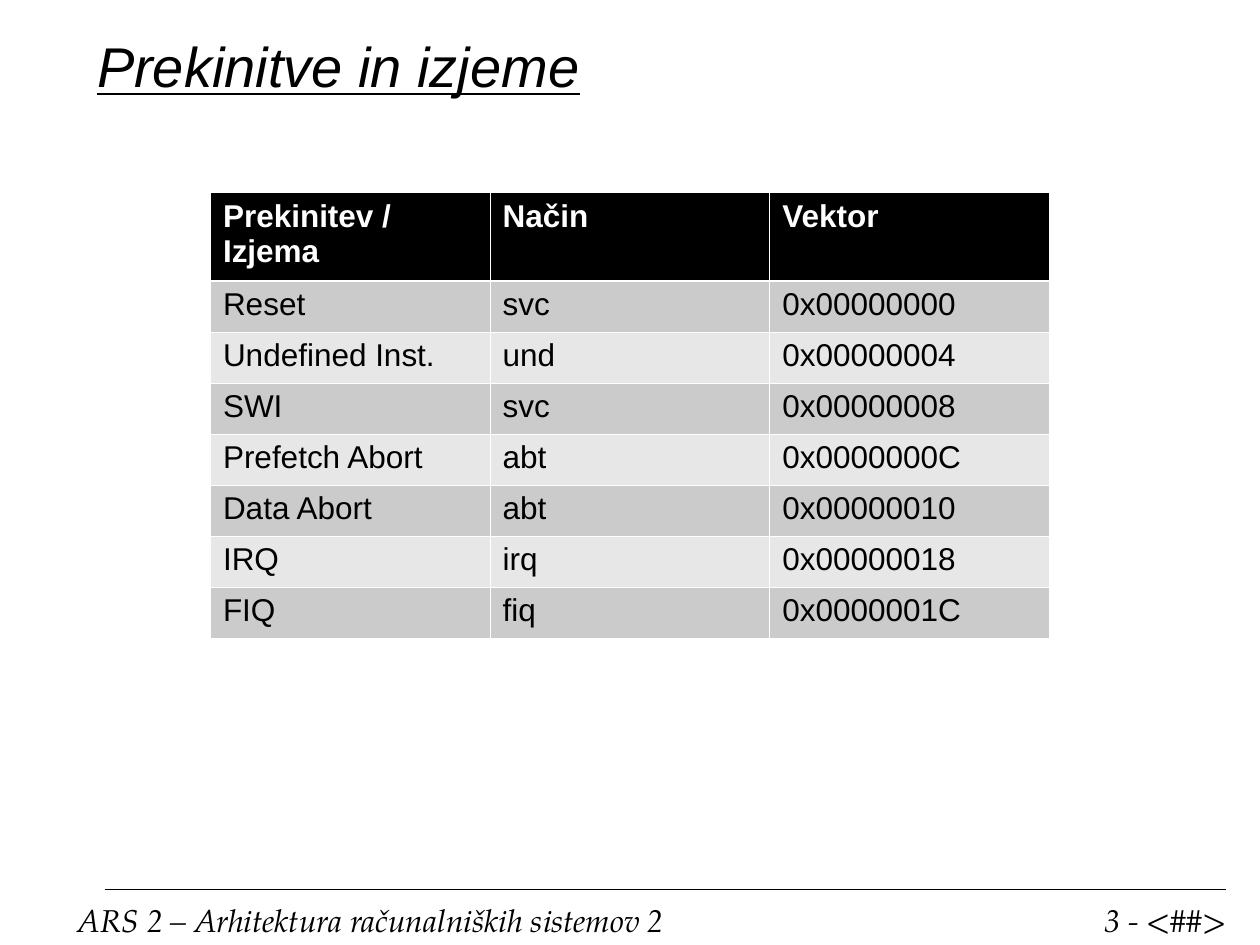
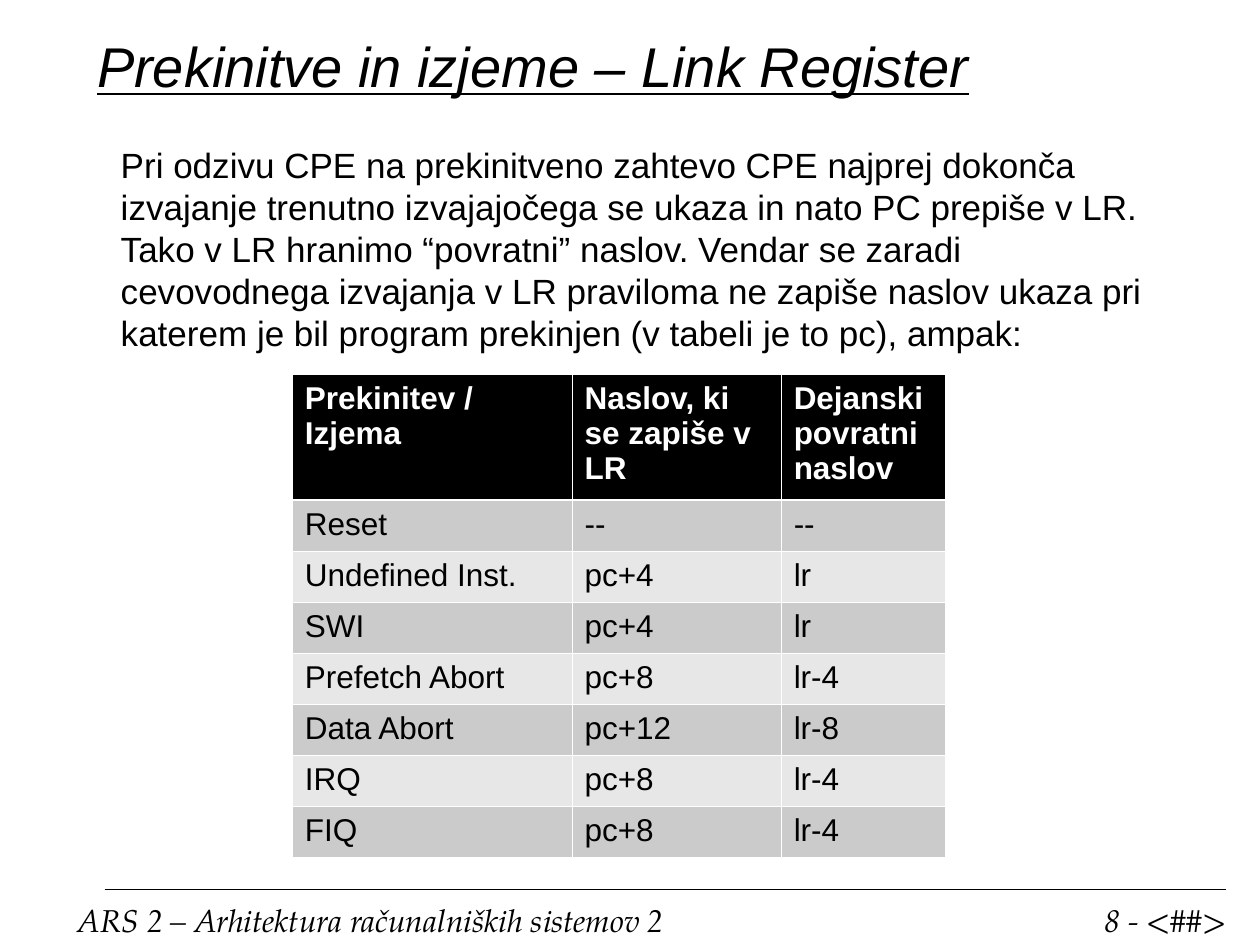
from dataclasses import dataclass

from lxml.etree import SubElement
from pptx import Presentation
from pptx.dml.color import RGBColor
from pptx.enum.shapes import MSO_CONNECTOR
from pptx.enum.text import MSO_ANCHOR, MSO_AUTO_SIZE, PP_ALIGN
from pptx.oxml.ns import qn
from pptx.util import Inches, Pt


@dataclass(frozen=True)
class Theme:
    """Colours, fonts and type sizes shared by the slides."""
    ink: str = "000000"
    paper: str = "FFFFFF"
    dark_band: str = "CBCBCB"
    light_band: str = "E7E7E7"
    text_font: str = "Arial"
    footer_font: str = "TeX Gyre Pagella"
    title_size: float = 32
    body_size: float = 20
    small_size: float = 18
    thin_border: float = 0.45
    header_border: float = 1.47


THEME = Theme()
TITLE_ONLY_LAYOUT = 5
ROW_HEIGHT = 0.405
COURSE = "ARS 2 – Arhitektura računalniških sistemov 2"
EXCEPTIONS = ["Reset", "Undefined Inst.", "SWI", "Prefetch Abort", "Data Abort", "IRQ", "FIQ"]
MODES = ["svc", "und", "svc", "abt", "abt", "irq", "fiq"]
VECTORS = ["0x00000000", "0x00000004", "0x00000008", "0x0000000C",
           "0x00000010", "0x00000018", "0x0000001C"]
SAVED_ADDRESSES = ["--", "pc+4", "pc+4", "pc+8", "pc+12", "pc+8", "pc+8"]
RETURN_ADDRESSES = ["--", "lr", "lr", "lr-4", "lr-8", "lr-4", "lr-4"]
LINK_REGISTER_TEXT = (
    "Pri odzivu CPE na prekinitveno zahtevo CPE najprej dokonča izvajanje trenutno "
    "izvajajočega se ukaza in nato PC prepiše v LR. Tako v LR hranimo “povratni” naslov. "
    "Vendar se zaradi cevovodnega izvajanja v LR praviloma ne zapiše naslov ukaza pri "
    "katerem je bil program prekinjen (v tabeli je to pc), ampak:"
)


def write_text(text_frame, text, *, size, font=THEME.text_font, color=THEME.ink,
               bold=False, italic=False, underline=False):
    """Write one left-aligned paragraph with the given format."""
    text_frame.word_wrap = True
    paragraph = text_frame.paragraphs[0]
    paragraph.alignment = PP_ALIGN.LEFT
    run = paragraph.add_run()
    run.text = text
    run.font.name = font
    run.font.size = Pt(size)
    run.font.color.rgb = RGBColor.from_string(color)
    run.font.bold = bold
    run.font.italic = italic
    run.font.underline = underline


def add_text(slide, text, left, top, width, height, **text_format):
    """Add a text box with formatted text."""
    box = slide.shapes.add_textbox(Inches(left), Inches(top), Inches(width), Inches(height))
    write_text(box.text_frame, text, **text_format)


def set_title(slide, text):
    """Place and format the title placeholder."""
    title = slide.shapes.title
    title.left, title.top = Inches(0.67), Inches(0.21)
    title.width, title.height = Inches(8.9), Inches(0.62)
    title.text_frame.auto_size = MSO_AUTO_SIZE.NONE
    title.text_frame.vertical_anchor = MSO_ANCHOR.MIDDLE
    write_text(title.text_frame, text, size=THEME.title_size, italic=True, underline=True)


def add_footer(slide, page):
    """Add the footer rule, the course name and the page label."""
    rule = slide.shapes.add_connector(
        MSO_CONNECTOR.STRAIGHT, Inches(0.83), Inches(7.06), Inches(9.73), Inches(7.06))
    rule.line.color.rgb = RGBColor.from_string(THEME.ink)
    rule.line.width = Pt(1)
    SubElement(rule._element.spPr, qn("a:effectLst"))
    for text, left, width in [(COURSE, 0.52, 5.49), (f"{page} - <##>", 8.67, 1.33)]:
        add_text(slide, text, left, 7.1, width, 0.4, size=THEME.small_size,
                 font=THEME.footer_font, italic=True)


def set_borders(cell, **widths):
    """Draw the cell's borders, thin unless a side's width is given."""
    properties = cell._tc.get_or_add_tcPr()
    for side in "LRTB":
        width = Pt(widths.get(side, THEME.thin_border))
        line = SubElement(properties, qn(f"a:ln{side}"), w=str(int(width)))
        fill = SubElement(line, qn("a:solidFill"))
        SubElement(fill, qn("a:srgbClr"), val=THEME.paper)


def format_cell(cell, text, row):
    """Fill, border and write a cell according to its row."""
    is_header = row == 0
    edges = {0: {"B": THEME.header_border}, 1: {"T": THEME.header_border}}
    band = THEME.dark_band if row % 2 else THEME.light_band
    set_borders(cell, **edges.get(row, {}))
    cell.fill.solid()
    cell.fill.fore_color.rgb = RGBColor.from_string(THEME.ink if is_header else band)
    write_text(cell.text_frame, text, size=THEME.small_size, bold=is_header,
               color=THEME.paper if is_header else THEME.ink)


def add_exception_table(slide, left, top, header_height, widths, headers, columns):
    """Add a banded table with a header row above the given columns."""
    rows = [headers, *zip(*columns)]
    heights = [header_height] + [ROW_HEIGHT] * (len(rows) - 1)
    table = slide.shapes.add_table(
        len(rows), len(widths), Inches(left), Inches(top),
        Inches(sum(widths)), Inches(sum(heights))).table
    for column, width in zip(table.columns, widths):
        column.width = Inches(width)
    for index, (values, height) in enumerate(zip(rows, heights)):
        table.rows[index].height = Inches(height)
        for cell, value in zip(table.rows[index].cells, values):
            format_cell(cell, value, index)


def add_slide(presentation, title, page):
    """Add a slide with its title and footer."""
    slide = presentation.slides.add_slide(presentation.slide_layouts[TITLE_ONLY_LAYOUT])
    add_footer(slide, page)
    set_title(slide, title)
    return slide


def main():
    """Build and save the presentation."""
    presentation = Presentation()
    presentation.slide_width, presentation.slide_height = Inches(10), Inches(7.5)

    vector_slide = add_slide(presentation, "Prekinitve in izjeme", 3)
    add_exception_table(
        vector_slide, 1.67, 1.53, 0.7, [2.22] * 3,
        ["Prekinitev / Izjema", "Način", "Vektor"], [EXCEPTIONS, MODES, VECTORS])

    register_slide = add_slide(presentation, "Prekinitve in izjeme – Link Register", 8)
    add_exception_table(
        register_slide, 2.32, 2.97, 1, [2.22, 1.66, 1.3],
        ["Prekinitev / Izjema", "Naslov, ki se zapiše v LR", "Dejanski povratni naslov"],
        [EXCEPTIONS, SAVED_ADDRESSES, RETURN_ADDRESSES])
    add_text(register_slide, LINK_REGISTER_TEXT, 0.86, 1.09, 8.52, 1.77, size=THEME.body_size)

    presentation.save("out.pptx")


if __name__ == "__main__":
    main()
